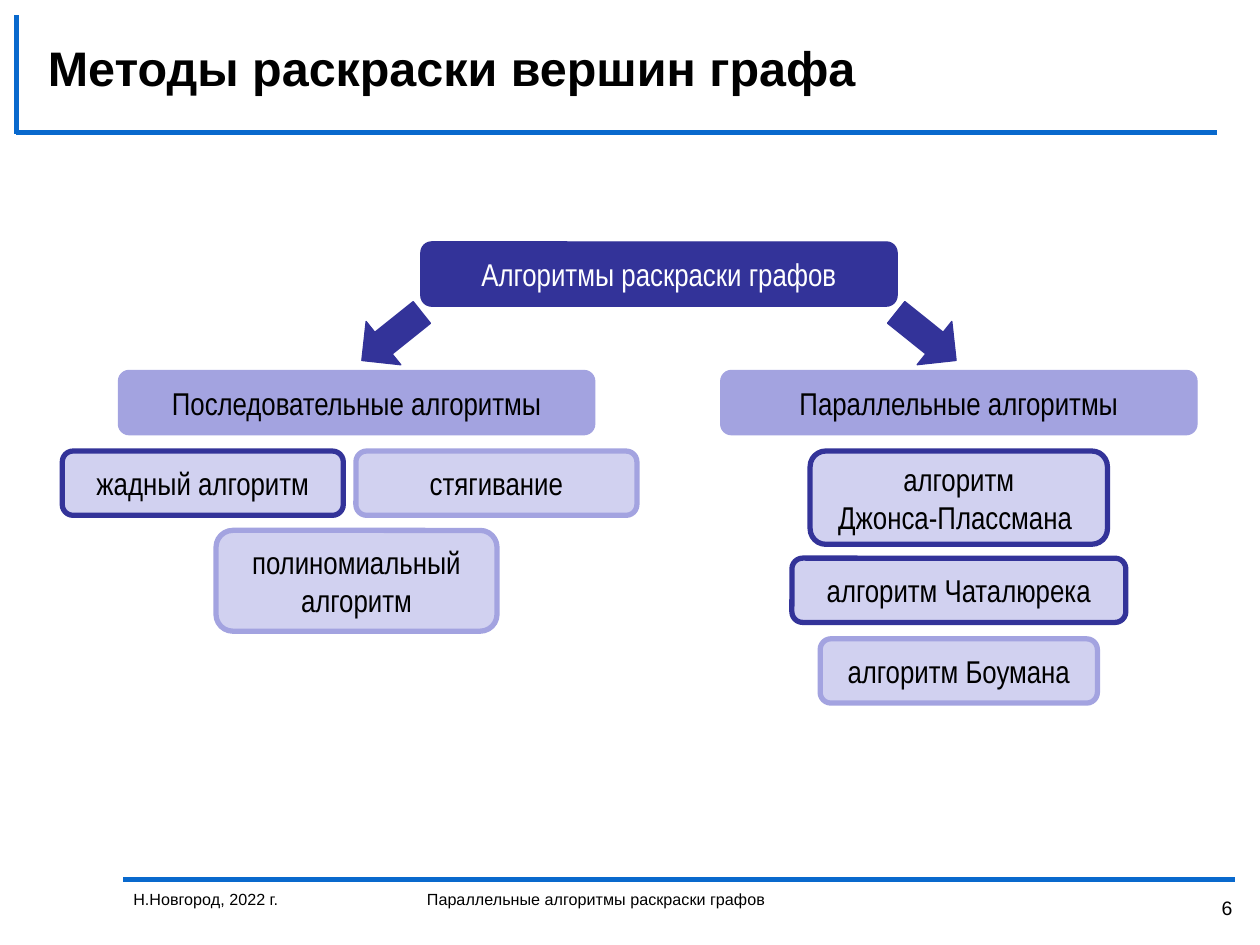
from lxml import etree
from pptx import Presentation
from pptx.dml.color import RGBColor
from pptx.enum.shapes import MSO_CONNECTOR, MSO_SHAPE
from pptx.enum.text import MSO_ANCHOR, MSO_AUTO_SIZE, PP_ALIGN
from pptx.oxml.ns import qn
from pptx.util import Inches, Pt

BLUE = RGBColor(0x09, 0x69, 0xCD)
NAVY = RGBColor(0x33, 0x33, 0x99)
LILAC = RGBColor(0xA3, 0xA3, 0xE0)
PALE = RGBColor(0xD1, 0xD1, 0xF0)
BLACK = RGBColor(0, 0, 0)
WHITE = RGBColor(0xFF, 0xFF, 0xFF)

STRAIGHT = MSO_CONNECTOR.STRAIGHT
ROUNDED = MSO_SHAPE.ROUNDED_RECTANGLE
ARROW = MSO_SHAPE.RIGHT_ARROW
LEFT, CENTER, RIGHT = PP_ALIGN.LEFT, PP_ALIGN.CENTER, PP_ALIGN.RIGHT
MIDDLE = MSO_ANCHOR.MIDDLE
NO_FIT = MSO_AUTO_SIZE.NONE


class SlideBuilder:
    text_font = "Arial"
    diagram_font = "Arial Narrow"
    diagram_size = 18

    def __init__(self, deck):
        self.slide = deck.slides.add_slide(deck.slide_layouts[5])
        self.shapes = self.slide.shapes

    def fill_text(self, frame, lines, font, size, color=BLACK, align=LEFT, bold=False):
        for index, line in enumerate(lines):
            para = frame.paragraphs[0] if index == 0 else frame.add_paragraph()
            para.alignment = align
            span = para.add_run()
            span.text = line
            span.font.name = font
            span.font.size = Pt(size)
            span.font.bold = bold
            span.font.color.rgb = color

    def title(self, text, left, top, width, height):
        box = self.shapes.title
        box.left, box.top = Inches(left), Inches(top)
        box.width, box.height = Inches(width), Inches(height)
        frame = box.text_frame
        frame.auto_size = NO_FIT
        frame.vertical_anchor = MIDDLE
        self.fill_text(frame, [text], self.text_font, 27.7, bold=True)

    def rule(self, x1, y1, x2, y2):
        line = self.shapes.add_connector(
            STRAIGHT, Inches(x1), Inches(y1), Inches(x2), Inches(y2))
        line.line.color.rgb = BLUE
        line.line.width = Pt(3)
        etree.SubElement(line._element.spPr, qn("a:effectLst"))

    def label(self, text, left, top, width, height, size=9.2, align=LEFT):
        box = self.shapes.add_textbox(
            Inches(left), Inches(top), Inches(width), Inches(height))
        box.text_frame.word_wrap = True
        self.fill_text(box.text_frame, [text], self.text_font, size, align=align)

    def solid(self, kind, center, top, width, height, fill, line, weight):
        shape = self.shapes.add_shape(
            kind, Inches(center - width / 2), Inches(top), Inches(width), Inches(height))
        shape.shadow.inherit = False
        shape.fill.solid()
        shape.fill.fore_color.rgb = fill
        shape.line.color.rgb = line
        shape.line.width = Pt(weight)
        return shape

    def node(self, lines, center, top, width, height=0.51,
             fill=PALE, line=LILAC, weight=3, color=BLACK):
        box = self.solid(ROUNDED, center, top, width, height, fill, line, weight)
        frame = box.text_frame
        frame.word_wrap = False
        frame.vertical_anchor = MIDDLE
        self.fill_text(frame, lines, self.diagram_font, self.diagram_size, color, CENTER)

    def header(self, text, center, top, fill, color):
        self.node([text], center, top, 3.78, fill=fill, line=fill, weight=0.75, color=color)

    def arrow(self, center, top, angle):
        shape = self.solid(ARROW, center, top, 0.61, 0.44, NAVY, NAVY, 0.75)
        shape.rotation = angle


deck = Presentation()
deck.slide_width, deck.slide_height = Inches(10), Inches(7.5)
page = SlideBuilder(deck)

for ends in [(0.98, 6.98, 9.8, 6.98), (0.13, 1.05, 9.66, 1.05), (0.13, 0.12, 0.13, 1.06)]:
    page.rule(*ends)
page.title("Методы раскраски вершин графа", 0.28, 0.23, 9.17, 0.61)

ROOT, SEQUENTIAL, PARALLEL = 5.23, 2.83, 7.61
page.header("Алгоритмы раскраски графов", ROOT, 1.92, NAVY, WHITE)
page.header("Последовательные алгоритмы", SEQUENTIAL, 2.94, LILAC, BLACK)
page.header("Параллельные алгоритмы", PARALLEL, 2.94, LILAC, BLACK)
for side, angle in [(-1, 141.3), (1, 38.7)]:
    page.arrow(ROOT + side * 2.12, 2.45, angle)

page.node(["жадный алгоритм"], 1.61, 3.58, 2.23, line=NAVY)
page.node(["стягивание"], 3.94, 3.58, 2.23)
page.node(["полиномиальный", "алгоритм"], SEQUENTIAL, 4.21, 2.23, 0.8)
page.node(["алгоритм", "Джонса-Плассмана "], PARALLEL, 3.58, 2.36, 0.74, line=NAVY)
page.node(["алгоритм Чаталюрека"], PARALLEL, 4.43, 2.65, line=NAVY)
page.node(["алгоритм Боумана"], PARALLEL, 5.07, 2.2)

page.label("Н.Новгород, 2022 г.", 0.96, 7.01, 2.24, 0.49)
page.label("Параллельные алгоритмы раскраски графов", 3.29, 7.01, 6.3, 0.49)
page.label("6", 9.37, 7.06, 0.51, 0.29, size=11.1, align=RIGHT)

deck.save("out.pptx")
